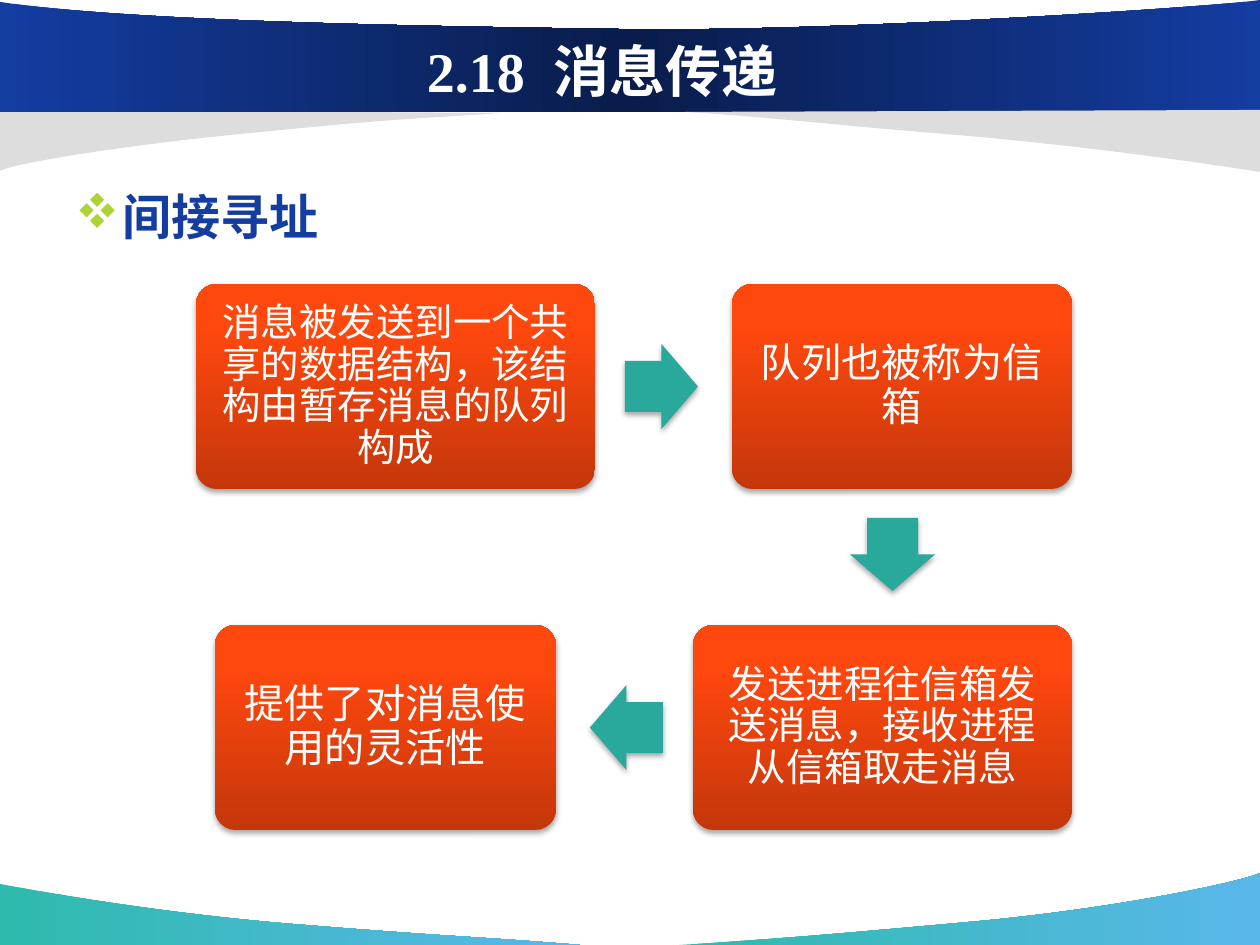
from dataclasses import dataclass
from lxml import etree
from pptx import Presentation
from pptx.dml.color import RGBColor
from pptx.enum.shapes import MSO_SHAPE
from pptx.enum.text import MSO_ANCHOR, PP_ALIGN
from pptx.oxml import parse_xml
from pptx.oxml.ns import nsdecls, qn
from pptx.util import Pt


@dataclass
class Theme:
    navy: str = "143DA2"
    navy_dark: str = "091C4B"
    gray: str = "DDDDDD"
    teal: str = "2EBAAD"
    sky: str = "5AB7EA"
    arrow: str = "29A89C"
    bullet: str = "AED337"
    white: str = "FFFFFF"
    box: tuple = ((0, "C5370B"), (80, "FF480E"), (100, "FF4910"))
    title_font: str = "Times New Roman"
    body_font: str = "Arial"
    title_size: int = 32
    heading_size: int = 28
    long_text_size: int = 22
    short_text_size: int = 23


theme = Theme()
PX = 914400 / 126


def paint(shape, fill, angle=0, shadow=False):
    shape.shadow.inherit = False
    shape.line.fill.background()
    if isinstance(fill, str):
        shape.fill.solid()
        shape.fill.fore_color.rgb = RGBColor.from_string(fill)
    else:
        stops = "".join(
            f'<a:gs pos="{position * 1000}"><a:srgbClr val="{color}"/></a:gs>'
            for position, color in fill
        )
        shape.fill.background()
        properties = shape._element.spPr
        properties.replace(properties.find(qn("a:noFill")), parse_xml(
            f'<a:gradFill {nsdecls("a")} rotWithShape="1"><a:gsLst>{stops}</a:gsLst>'
            f'<a:lin ang="{angle * 60000}" scaled="0"/></a:gradFill>'
        ))
    if shadow:
        shape._element.spPr.find(qn("a:effectLst")).append(parse_xml(
            f'<a:outerShdw {nsdecls("a")} blurRad="40000" dist="23000" dir="5400000" '
            'rotWithShape="0"><a:srgbClr val="000000"><a:alpha val="35000"/>'
            '</a:srgbClr></a:outerShdw>'
        ))


def style(paragraph, size, font, color, bold=False):
    paragraph.font.size = Pt(size)
    paragraph.font.name = font
    paragraph.font.bold = bold
    paragraph.font.color.rgb = RGBColor.from_string(color)


presentation = Presentation()
presentation.slide_width = round(1260 * PX)
presentation.slide_height = round(945 * PX)
slide = presentation.slides.add_slide(presentation.slide_layouts[6])
shapes = slide.shapes

footer_fill = ((0, theme.teal), (100, theme.sky))
banner_fill = ((0, theme.navy), (50, theme.navy_dark), (100, theme.navy))
waves = [
    (footer_fill, (580, 945),
     [(484, 937), (451, 937), (292, 924), (134, 911), (1, 884), (0, 884)],
     [(0, 945)]),
    (footer_fill, (679, 945),
     [(774, 939), (814, 936), (969, 922), (1124, 908), (1247, 880), (1260, 873)],
     [(1260, 945)]),
    (theme.gray, (502, 113),
     [(417, 119), (401, 118), (262, 132), (122, 145), (11, 164), (0, 171)],
     [(0, 110)]),
    (banner_fill, (1260, 0),
     [(1215, 7), (823, 33), (614, 29), (404, 26), (127, 21), (0, 2)],
     [(0, 112), (1260, 111)]),
    (theme.gray, (685, 112),
     [(781, 118), (809, 123), (968, 136), (1126, 150), (1259, 172), (1260, 172)],
     [(1260, 110)]),
]
for fill, start, curve, corners in waves:
    builder = shapes.build_freeform(*start, scale=PX)
    builder.add_line_segments(curve + corners, close=True)
    wave = builder.convert_to_shape()
    segments = list(wave._element.iter(qn("a:lnTo")))
    for index in range(0, len(curve), 3):
        bezier = etree.Element(qn("a:cubicBezTo"))
        segments[index].addprevious(bezier)
        for segment in segments[index:index + 3]:
            bezier.append(segment[0])
            segment.getparent().remove(segment)
    paint(wave, fill)

title = shapes.add_textbox(*(round(v * PX) for v in (109, 31, 987, 78)))
title.text_frame.word_wrap = True
title.text_frame.vertical_anchor = MSO_ANCHOR.MIDDLE
paragraph = title.text_frame.paragraphs[0]
paragraph.alignment = PP_ALIGN.CENTER
for text in ("2.18", " ", "消息传递"):
    run = paragraph.add_run()
    run.text = text
    if text == " ":
        run._r.get_or_add_rPr().set("spc", "840")
style(paragraph, theme.title_size, theme.title_font, theme.white, True)

heading = shapes.add_textbox(*(round(v * PX) for v in (63, 169, 1134, 106)))
heading.text_frame.word_wrap = True
paragraph = heading.text_frame.paragraphs[0]
paragraph.text = "间接寻址"
bullet = paragraph._p.get_or_add_pPr()
bullet.set("marL", str(round(47 * PX)))
bullet.set("indent", str(round(-47 * PX)))
bullet_color = etree.SubElement(bullet, qn("a:buClr"))
etree.SubElement(bullet_color, qn("a:srgbClr"), val=theme.bullet)
etree.SubElement(bullet, qn("a:buFont"), typeface="Wingdings", charset="2")
etree.SubElement(bullet, qn("a:buChar"), char="v")
paragraph.line_spacing = 1.2
style(paragraph, theme.heading_size, theme.body_font, theme.navy, True)

BOX_HEIGHT = 205
TOP_ROW, BOTTOM_ROW = 284, 625
steps = [
    (196, TOP_ROW, 399, theme.long_text_size,
     "消息被发送到一个共享的数据结构，该结构由暂存消息的队列构成"),
    (732, TOP_ROW, 340, theme.short_text_size, "队列也被称为信箱"),
    (693, BOTTOM_ROW, 379, theme.long_text_size,
     "发送进程往信箱发送消息，接收进程从信箱取走消息"),
    (215, BOTTOM_ROW, 341, theme.short_text_size, "提供了对消息使用的灵活性"),
]
for left, top, width, size, text in steps:
    box = shapes.add_shape(MSO_SHAPE.ROUNDED_RECTANGLE,
                           *(round(v * PX) for v in (left, top, width, BOX_HEIGHT)))
    box.adjustments[0] = 0.1
    paint(box, theme.box, 270, shadow=True)
    frame = box.text_frame
    frame.word_wrap = True
    frame.vertical_anchor = MSO_ANCHOR.MIDDLE
    frame.margin_left = frame.margin_right = round(12 * PX)
    frame.margin_top = frame.margin_bottom = round(12 * PX)
    paragraph = frame.paragraphs[0]
    paragraph.text = text
    paragraph.alignment = PP_ALIGN.CENTER
    paragraph.line_spacing = 0.9
    style(paragraph, size, theme.body_font, theme.white)

for left, top, rotation in ((625, 344, 0), (856, 512, 90), (590, 685, 180)):
    arrow = shapes.add_shape(MSO_SHAPE.RIGHT_ARROW,
                             *(round(v * PX) for v in (left, top, 73, 85)))
    arrow.adjustments[0] = 0.6
    arrow.adjustments[1] = 0.5
    arrow.rotation = rotation
    paint(arrow, theme.arrow, shadow=True)

presentation.save("out.pptx")
